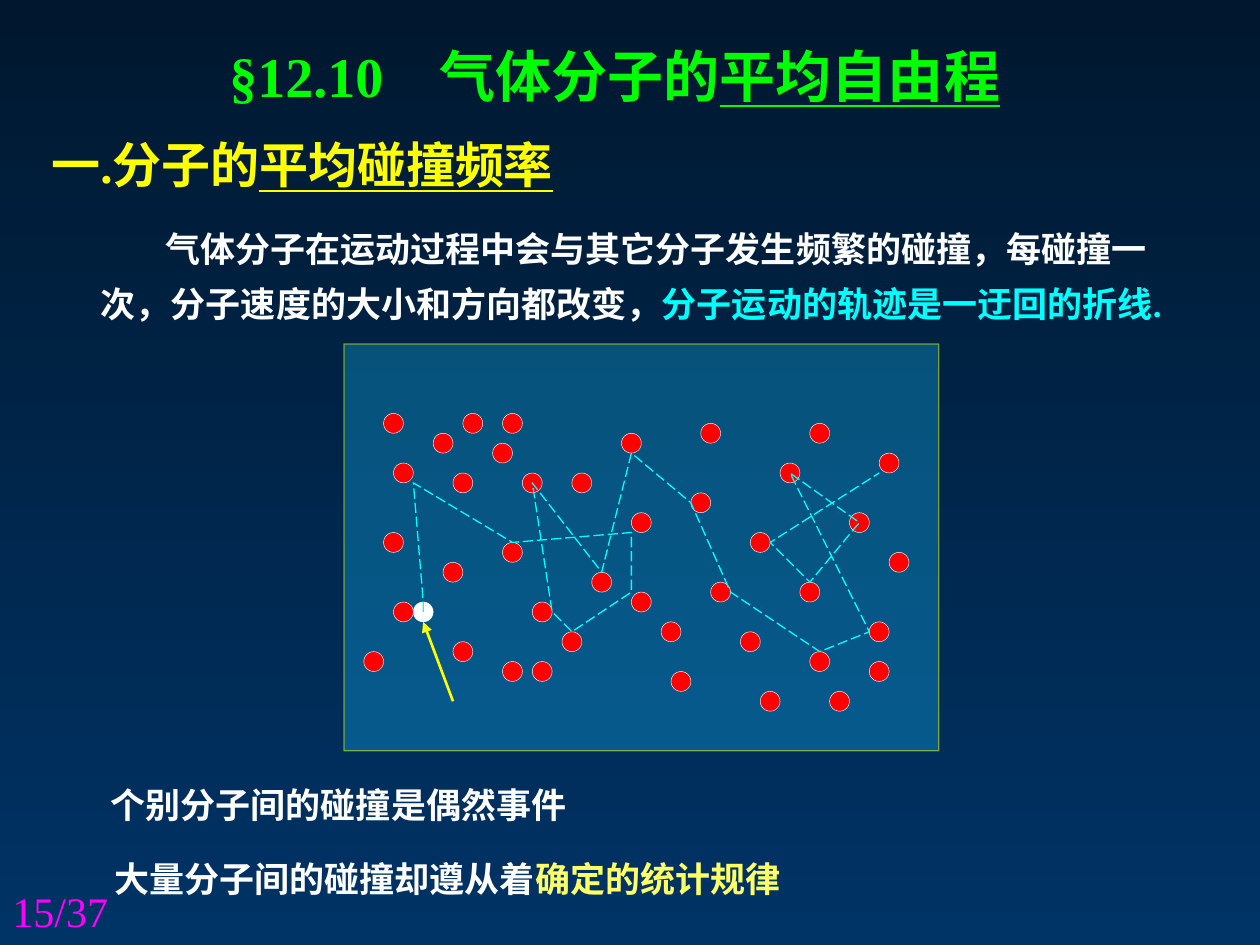
from lxml.etree import SubElement
from pptx import Presentation
from pptx.dml.color import RGBColor
from pptx.enum.dml import MSO_LINE_DASH_STYLE as Dash
from pptx.enum.shapes import MSO_CONNECTOR as Connector, MSO_SHAPE as Shape
from pptx.enum.text import MSO_ANCHOR as Anchor, MSO_AUTO_SIZE as AutoSize, PP_ALIGN as Align
from pptx.oxml.ns import qn
from pptx.util import Inches, Pt

FONT = "Times New Roman"
COLUMNS, ROWS = 60, 41
MOLECULES = [
    (2, 31), (4, 19), (5, 26), (4, 7), (9, 9), (12, 7), (15, 10), (16, 7), (5, 12), (11, 13),
    (10, 22), (11, 30), (16, 32), (19, 32), (42, 35), (49, 35), (36, 8), (47, 8), (44, 12),
    (54, 11), (28, 9), (35, 15), (51, 17), (55, 21), (41, 19), (29, 25), (33, 33), (32, 28),
    (37, 24), (40, 29), (47, 31), (53, 28), (53, 32), (46, 24), (23, 13), (18, 13), (16, 20),
    (19, 26), (22, 29), (25, 23), (29, 17),
]
TRACK = [
    (8, 27), (8, 26), (7, 14), (17, 20), (29, 19), (29, 25), (23, 29), (21, 27), (19, 14), (26, 23),
    (29, 11), (35, 16), (39, 25), (48, 31), (53, 29), (45, 13), (52, 18), (47, 24), (43, 20), (54, 13),
]


def color(value):
    return RGBColor.from_string(value)


def set_alpha(fill, percent):
    choice = fill._xPr.find(qn("a:solidFill"))
    SubElement(choice[0], qn("a:alpha"), val=str(percent * 1000))


def place(shape, box):
    shape.left, shape.top, shape.width, shape.height = (Inches(length) for length in box)


def write(shape, box, paragraphs, size, bold=True, spacing=1.0, before=0, first_indent=0):
    place(shape, box)
    frame = shape.text_frame
    frame.word_wrap = True
    frame.auto_size = AutoSize.NONE
    frame.vertical_anchor = Anchor.TOP
    for index, runs in enumerate(paragraphs):
        para = frame.add_paragraph() if index else frame.paragraphs[0]
        properties = para._p.get_or_add_pPr()
        properties.set("marL", "0")
        properties.set("indent", str(0 if index else Inches(first_indent)))
        SubElement(properties, qn("a:buNone"))
        para.alignment = Align.LEFT
        para.line_spacing = spacing
        para.space_before = Pt(before if index else 0)
        para.font.name, para.font.size, para.font.bold = FONT, Pt(size), bold
        for text, tint, underline in runs:
            span = para.add_run()
            span.text = text
            span.font.color.rgb = color(tint)
            if underline:
                span.font.underline = True


def add_text(page, box, runs, size, **options):
    write(page.shapes.add_textbox(0, 0, 0, 0), box, [runs], size, **options)


def add_molecule(shapes, left, top, diameter, tint):
    molecule = shapes.add_shape(Shape.OVAL, left, top, diameter, diameter)
    molecule.shadow.inherit = False
    molecule.fill.solid()
    molecule.fill.fore_color.rgb = color(tint)
    molecule.line.color.rgb = color("FFFFFF")
    molecule.line.width = Pt(0.25)


def add_panel(page, box):
    panel = page.shapes.add_shape(Shape.RECTANGLE, 0, 0, 0, 0)
    place(panel, box)
    panel.shadow.inherit = False
    panel.fill.solid()
    panel.fill.fore_color.rgb = color("17C2FF")
    set_alpha(panel.fill, 30)
    panel.line.color.rgb = color("FFFF00")
    panel.line.width = Pt(0.75)
    set_alpha(panel.line.fill, 50)


def add_collisions(page, box):
    left, top, width, height = box

    def spot(column, row):
        return Inches(left + width * column / COLUMNS), Inches(top + height * row / ROWS)

    diameter = Inches(2 * width / COLUMNS)
    group = page.shapes.add_group_shape()
    for cell in MOLECULES:
        add_molecule(group.shapes, *spot(*cell), diameter, "FF0000")
    add_molecule(page.shapes, *spot(7, 26), diameter, "FFFFFF")

    pointer = page.shapes.add_connector(Connector.STRAIGHT, *spot(11, 36), *spot(8, 28))
    pointer.line.color.rgb = color("FFFF00")
    pointer.line.width = Pt(1.5)
    SubElement(pointer.line._get_or_add_ln(), qn("a:tailEnd"), type="triangle")
    SubElement(pointer._element.spPr, qn("a:effectLst"))

    builder = page.shapes.build_freeform(*spot(*TRACK[0]))
    builder.add_line_segments([spot(*cell) for cell in TRACK[1:]], close=False)
    track = builder.convert_to_shape()
    track.shadow.inherit = False
    track.fill.background()
    track.line.color.rgb = color("00FFFF")
    track.line.width = Pt(0.75)
    track.line.dash_style = Dash.LONG_DASH


def paint_background(page):
    fill = page.background.fill
    fill.gradient()
    fill.gradient_angle = 270
    for stop, tint in zip(fill.gradient_stops, ("00182F", "003366")):
        stop.color.rgb = color(tint)


def build_page(deck):
    page = deck.slides.add_slide(deck.slide_layouts[1])
    paint_background(page)
    title, body = page.placeholders
    write(title, (1.72, 0.28, 6.79, 0.64),
          [[("§12.10　气体分子的", "00FF00", False), ("平均自由程", "00FF00", True)]], 32)
    add_text(page, (0.31, 1.02, 5, 0.57),
             [("一.分子的", "FFFF00", False), ("平均碰撞频率", "FFFF00", True)], 28)
    write(body, (0.7, 1.72, 9.06, 0.91), [
        [("气体分子在运动过程中会与其它分子发生频繁的碰撞，每碰撞一", "FFFFFF", False)],
        [("次，分子速度的大小和方向都改变，", "FFFFFF", False),
         ("分子运动的轨迹是一迂回的折线.", "00FFFF", False)],
    ], 20, spacing=1.1, before=5, first_indent=0.51)
    diagram = (2.73, 2.73, 4.72, 3.23)
    add_panel(page, diagram)
    add_collisions(page, diagram)
    add_text(page, (0.78, 6.17, 6.17, 0.44), [("个别分子间的碰撞是偶然事件", "FFFFFF", False)], 20)
    add_text(page, (0.81, 6.64, 7.7, 0.55),
             [("大量分子间的碰撞却遵从着", "FFFFFF", False), ("确定的统计规律", "FFFF66", False)],
             20, spacing=1.35)
    add_text(page, (0, 6.98, 2.33, 0.52), [("15/37", "FF00FF", False)], 24, bold=False)


def main():
    deck = Presentation()
    deck.slide_width, deck.slide_height = Inches(10), Inches(7.5)
    build_page(deck)
    deck.save("out.pptx")


if __name__ == "__main__":
    main()
